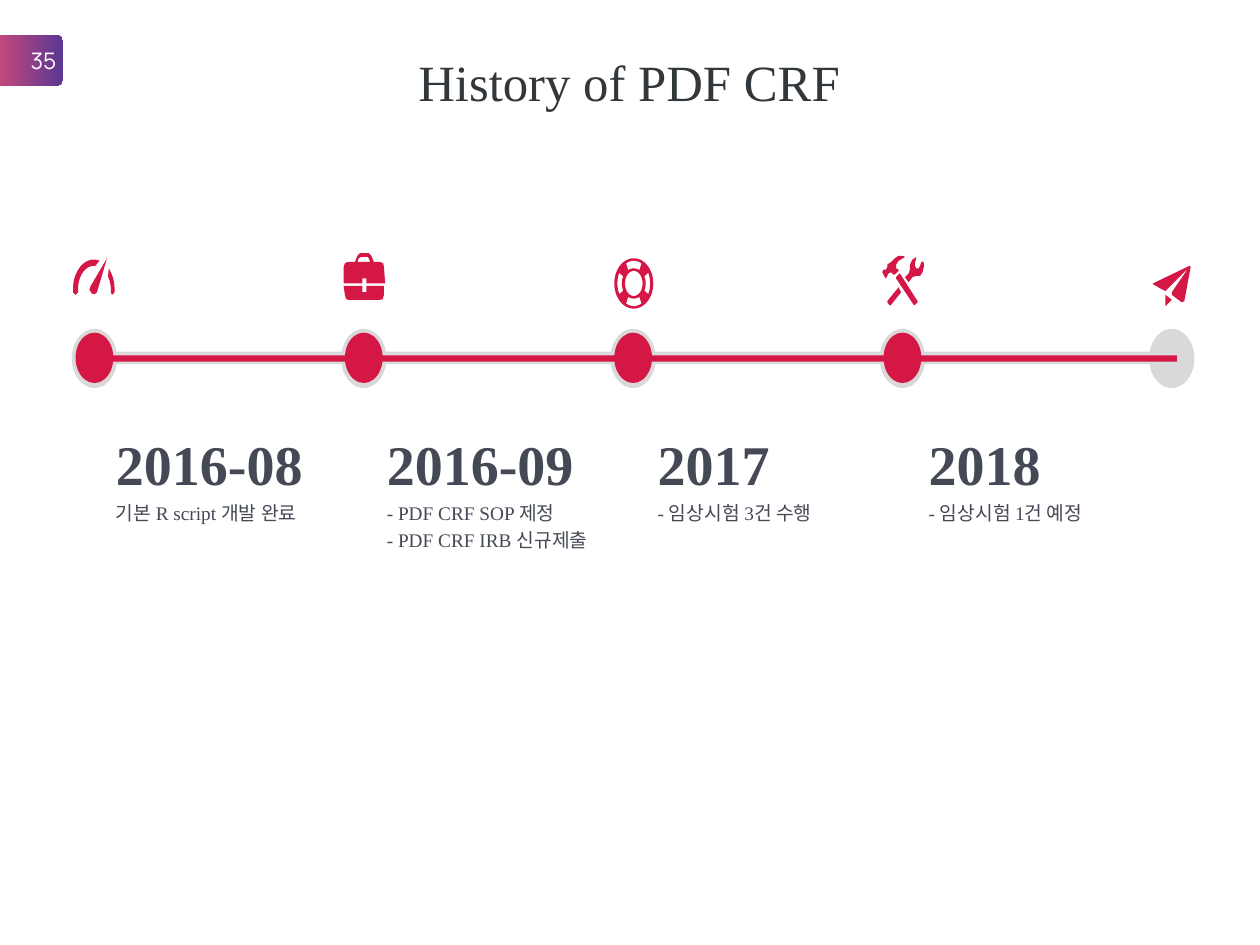
import math

from pptx import Presentation
from pptx import util as u
from pptx.dml.color import RGBColor
from pptx.enum import shapes, text

WHITE = RGBColor(0xFF, 0xFF, 0xFF)
RED = RGBColor(0xD5, 0x17, 0x46)
GREY = RGBColor(0xD9, 0xD9, 0xD9)
INK = RGBColor(0x31, 0x37, 0x3B)
SLATE = RGBColor(0x44, 0x49, 0x55)
PURPLE = RGBColor(0x5A, 0x37, 0x93)
PINK = RGBColor(0xEC, 0x4E, 0x75)
SERIF = "Times New Roman"

MILESTONES = [
    ("2016-08", ["기본 R script 개발 완료"]),
    ("2016-09", ["- PDF CRF SOP 제정", "- PDF CRF IRB 신규제출"]),
    ("2017", ["- 임상시험 3건 수행"]),
    ("2018", ["- 임상시험 1건 예정"]),
]


def arc(cx, cy, rx, ry, start, end, steps=16):
    angles = [math.radians(start + (end - start) * i / steps) for i in range(steps + 1)]
    return [(cx + rx * math.cos(a), cy + ry * math.sin(a)) for a in angles]


def gauge_icon():
    return [
        [(27, 0), (14, 22), (13, 25), (15, 28), (17, 28.5), (19, 27)],
        arc(16.5, 24.5, 16.5, 23.5, 180, 286) + arc(16.5, 24.5, 12.5, 18.5, 275, 180)
        + [(4, 27), (2, 29), (0, 27)],
        arc(16.5, 24.5, 16.5, 23.5, -44, 0) + [(33, 27), (31, 29), (30, 27)]
        + arc(16.5, 24.5, 13.5, 18, 0, -33),
    ]


def briefcase_icon():
    return [
        [(15, 20), (18, 20), (18, 24), (33, 24), (32, 11), (31.5, 8), (29, 7),
         (24, 7), (22, 2), (20, 0), (13, 0), (11, 2), (9, 7), (3, 7), (1, 8),
         (0, 11), (0, 24), (15, 24)],
        [(12, 4), (14, 3), (19, 3), (20, 4), (21, 7), (11, 7)],
        [(18, 31), (15, 31), (15, 26), (0, 26), (1, 33), (2, 36.5), (4, 37),
         (29, 37), (31, 36.5), (32, 33), (32, 26), (18, 26)],
    ]


def lifebuoy_icon():
    cx, cy = 15.5, 20
    rings = [arc(cx, cy, 15.5, 20, 0, 360, 48), arc(cx, cy, 7, 10, 0, 360, 32)]
    gaps = [arc(cx, cy, 13, 18, mid - 28, mid + 28)
            + arc(cx, cy, 9.5, 12, mid + 28, mid - 28)
            for mid in range(0, 360, 90)]
    return rings + gaps


def tools_icon():
    return [
        [(5, 14), (7, 13), (9, 15), (10, 15), (13, 12), (13, 11), (11, 10),
         (11, 7), (13, 4), (18, 1), (17, 0.3), (13, 0), (10, 2), (7, 5), (4, 7),
         (4, 9), (3, 11), (1, 11), (0, 13), (2, 17), (3, 18), (4, 16)],
        [(14, 14), (11, 17), (11, 18), (25, 39), (26, 39), (28, 37), (28, 36)],
        [(33, 6), (32.5, 4.5), (31, 5), (30, 8), (29, 10), (27, 10), (26, 8),
         (26, 6), (27, 2), (27, 1), (24, 3), (22, 7), (22, 11), (21, 14),
         (18, 17), (21, 21), (24, 17), (27, 16), (30, 16), (32, 13), (33, 9)],
        [(4, 36), (4, 37), (6, 39.5), (7, 39), (15, 29), (13, 25)],
    ]


def plane_icon():
    return [
        [(30, 1), (1, 15), (1, 15.5), (7, 19), (11, 21), (29, 3), (16, 22),
         (16, 24), (24, 30), (26, 29), (31, 2)],
        [(11, 33), (16, 28), (11, 24)],
    ]


def paint(sp, color):
    sp.shadow.inherit = False
    sp.fill.solid()
    sp.fill.fore_color.rgb = color
    sp.line.fill.background()


def add_preset(s, kind, x, y, w, h, color):
    sp = s.shapes.add_shape(kind, u.Inches(x), u.Inches(y), u.Inches(w), u.Inches(h))
    paint(sp, color)
    return sp


def add_icon(s, x, y, contours):
    builder = None
    for contour in contours:
        points = [(px * 100, py * 100) for px, py in contour]
        if builder is None:
            builder = s.shapes.build_freeform(*points[0], scale=u.Inches(0.01) / 100)
        else:
            builder.move_to(*points[0])
        builder.add_line_segments(points[1:], close=True)
    paint(builder.convert_to_shape(u.Inches(x), u.Inches(y)), RED)


def write(tf, words, size, color, font=SERIF, bold=False, align=None, before=0, first=True):
    p = tf.paragraphs[0] if first else tf.add_paragraph()
    p.alignment = align
    p.space_before = u.Pt(before)
    r = p.add_run()
    r.text = words
    r.font.name = font
    r.font.size = u.Pt(size)
    r.font.bold = bold
    r.font.color.rgb = color


def set_margins(tf, left, top):
    tf.margin_left = tf.margin_right = u.Inches(left)
    tf.margin_top = tf.margin_bottom = u.Inches(top)


def add_title(s, x, y, w, h):
    sp = s.shapes.add_textbox(u.Inches(x), u.Inches(y), u.Inches(w), u.Inches(h))
    tf = sp.text_frame
    tf.word_wrap = False
    write(tf, "History of PDF CRF", 29, INK, align=text.PP_ALIGN.CENTER)


def add_timeline(s, x, y, w, h):
    ring_w, inset, count = 0.36, 0.03, 5
    oval, rect = shapes.MSO_SHAPE.OVAL, shapes.MSO_SHAPE.RECTANGLE
    step = (w - ring_w) / (count - 1)
    lefts = [x + i * step for i in range(count)]
    add_preset(s, rect, x + 0.3, y + 0.18, 8.4, 0.1, GREY)
    for left in lefts:
        add_preset(s, oval, left, y, ring_w, h, GREY)
    add_preset(s, rect, x + 0.27, y + 0.21, 8.5, 0.05, RED)
    for left in lefts[:-1]:
        add_preset(s, oval, left + inset, y + inset, 0.3, 0.4, RED)
    icons = [(gauge_icon, 0.01, 2.05), (briefcase_icon, 0.02, 2.01),
             (lifebuoy_icon, 0.03, 2.05), (tools_icon, 0.02, 2.03),
             (plane_icon, 0.02, 2.1)]
    for left, (icon, dx, top) in zip(lefts, icons):
        add_icon(s, left + dx, top, icon())


def add_milestone(s, x, y, w, h, date, details):
    sp = s.shapes.add_textbox(u.Inches(x), u.Inches(y), u.Inches(w), u.Inches(h))
    tf = sp.text_frame
    tf.word_wrap = True
    set_margins(tf, 0.11, 0.06)
    tf.margin_top = u.Inches(0.12)
    write(tf, date, 32, SLATE, bold=True)
    for detail in details:
        write(tf, detail, 11, SLATE, before=2.2, first=False)


def add_page_number(s, x, y, w, h):
    sp = add_preset(s, shapes.MSO_SHAPE.ROUNDED_RECTANGLE, x, y, w, h, PURPLE)
    sp.adjustments[0] = 0.11
    sp.fill.gradient()
    sp.fill.gradient_angle = 180
    for stop, color in zip(sp.fill.gradient_stops, (PURPLE, PINK)):
        stop.color.rgb = color
    tf = sp.text_frame
    tf.vertical_anchor = text.MSO_ANCHOR.MIDDLE
    set_margins(tf, 0.04, 0.02)
    write(tf, "35", 13, WHITE, font="Manrope", align=text.PP_ALIGN.RIGHT)


def main():
    prs = Presentation()
    prs.slide_width, prs.slide_height = u.Inches(10), u.Inches(7.5)
    s = prs.slides.add_slide(prs.slide_layouts[6])
    add_title(s, 3.19, 0.35, 3.61, 0.59)
    add_timeline(s, 0.57, 2.61, 8.91, 0.47)
    for i, (date, details) in enumerate(MILESTONES):
        add_milestone(s, 0.81 + i * 2.15, 3.29, 1.89, 1.29, date, details)
    add_page_number(s, -0.19, 0.28, 0.69, 0.4)
    prs.save("out.pptx")


if __name__ == "__main__":
    main()
